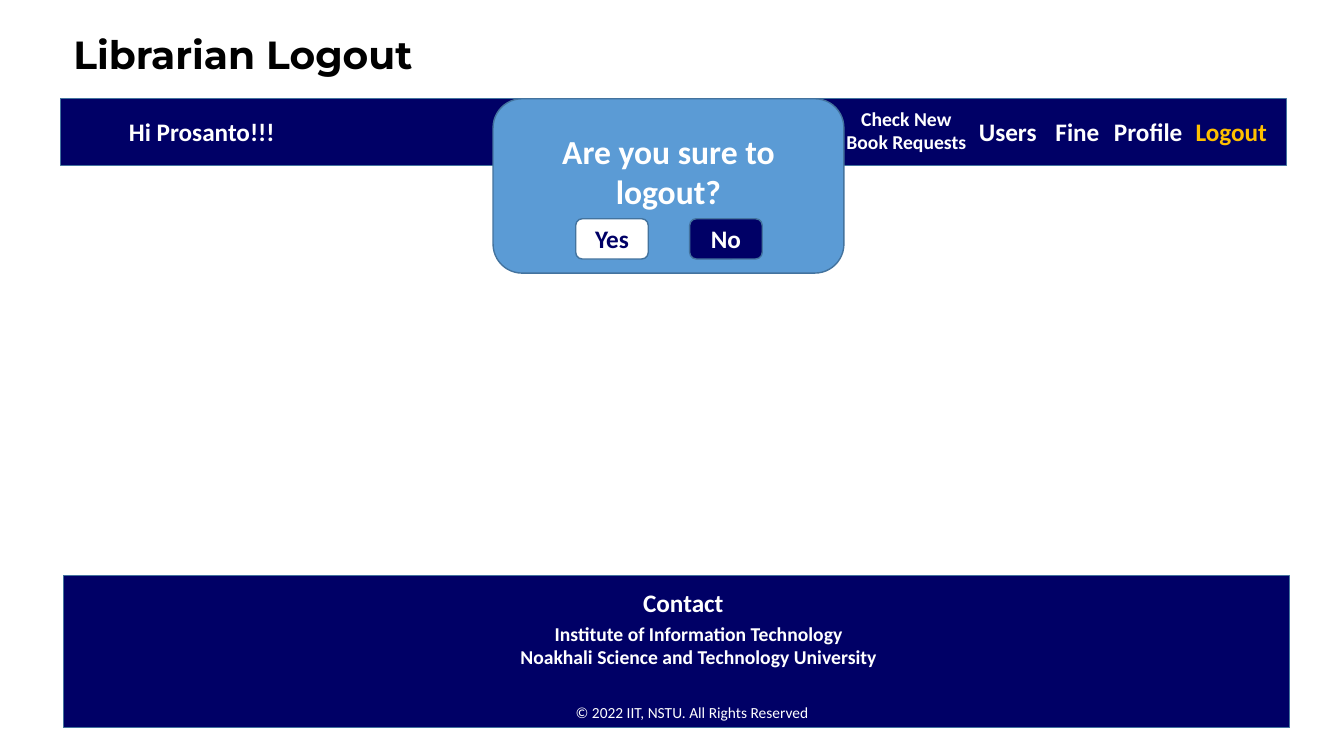
from pptx import Presentation
from pptx.dml.color import RGBColor
from pptx.enum.shapes import MSO_SHAPE
from pptx.enum.text import MSO_ANCHOR, MSO_AUTO_SIZE, PP_ALIGN
from pptx.util import Inches, Pt

RECT, ROUNDED = MSO_SHAPE.RECTANGLE, MSO_SHAPE.ROUNDED_RECTANGLE
LEFT, CENTER = PP_ALIGN.LEFT, PP_ALIGN.CENTER
TOP, MIDDLE = MSO_ANCHOR.TOP, MSO_ANCHOR.MIDDLE
FIT_TEXT = MSO_AUTO_SIZE.SHAPE_TO_FIT_TEXT

COLORS = {"navy": "000066", "blue": "5B9BD5", "edge": "43739E",
          "white": "FFFFFF", "amber": "FFC000", "black": "000000"}

# The slide is a grid of 1333 columns by 750 rows; areas are
# (column, row, columns wide, rows high).
GRID_COLUMNS, GRID_ROWS = 1333, 750
CELL = Inches(0.01)

TITLE = ("Librarian Logout", (63, 32, 474, 49))
BAR_WIDTH = 1216
HEADER = (60, 98, BAR_WIDTH, 66)
FOOTER = (63, 571, BAR_WIDTH, 151)

# Single-line labels: text, area, colour
LABELS = [
    ("Hi Prosanto!!!", (118, 111, 172, 40), "white"),
    ("Users", (961, 111, 78, 40), "white"),
    ("Fine", (1037, 111, 64, 40), "white"),
    ("Profile", (1095, 110, 89, 40), "white"),
    ("Logout", (1176, 110, 92, 40), "amber"),
    ("Contact", (628, 578, 101, 40), "white"),
]

# Centred, wrapped notes: lines, area, format
NOTES = [
    (["Check New Book Requests"], (826, 101, 146, 57), {"size": Pt(14), "bold": True}),
    (["Institute of Information Technology",
      "Noakhali Science and Technology University"],
     (459, 612, 468, 57), {"size": Pt(14), "bold": True}),
    (["© 2022 IIT, NSTU. All Rights Reserved"],
     (558, 693, 257, 29), {"size": Pt(11), "bold": False}),
]

QUESTION = ("Are you sure to logout?", (489, 98, 348, 173))
ANSWERS = [("Yes", "white", "navy"), ("No", "navy", "white")]
ANSWER_AREA = (571, 217, 72, 40)
ANSWER_STEP = 113
ROOM_FOR_ANSWERS = 35


def rgb(color):
    return RGBColor.from_string(COLORS[color])


def cells(area):
    return [CELL * count for count in area]


def write(shape, lines, color="white", align=CENTER, font=None, frame=None):
    """Fill a shape with paragraphs; font and frame override the usual format."""
    text_frame = shape.text_frame
    frame_format = {"word_wrap": True, "vertical_anchor": TOP, **(frame or {})}
    for key, value in frame_format.items():
        setattr(text_frame, key, value)
    text_frame.text = "\n".join(lines)
    font_format = {"name": "Calibri", "size": Pt(18), "bold": True, **(font or {})}
    for paragraph in text_frame.paragraphs:
        paragraph.alignment = align
        for run in paragraph.runs:
            run.font.color.rgb = rgb(color)
            for key, value in font_format.items():
                setattr(run.font, key, value)


def add_panel(slide, kind, area, fill):
    panel = slide.shapes.add_shape(kind, *cells(area))
    panel.shadow.inherit = False
    panel.fill.solid()
    panel.fill.fore_color.rgb = rgb(fill)
    panel.line.color.rgb = rgb("edge")
    panel.line.width = Pt(1)
    return panel


def add_title(slide):
    text, area = TITLE
    title = slide.shapes.add_textbox(*cells(area))
    write(title, [text], "black", LEFT, {"name": "Montserrat", "size": Pt(28)},
          {"vertical_anchor": MIDDLE})
    title.text_frame.paragraphs[0].line_spacing = 0.9


def add_page(slide):
    for bar in (HEADER, FOOTER):
        add_panel(slide, RECT, bar, "navy")
    for text, area, color in LABELS:
        write(slide.shapes.add_textbox(*cells(area)), [text], color, LEFT,
              frame={"word_wrap": False, "auto_size": FIT_TEXT})
    for lines, area, font in NOTES:
        write(slide.shapes.add_textbox(*cells(area)), lines, font=font,
              frame={"auto_size": FIT_TEXT})


def add_dialog(slide):
    text, area = QUESTION
    write(add_panel(slide, ROUNDED, area, "blue"), [text], font={"size": Pt(24)},
          frame={"vertical_anchor": MIDDLE, "margin_bottom": CELL * ROOM_FOR_ANSWERS})
    column, *rest = ANSWER_AREA
    for index, (answer, fill, color) in enumerate(ANSWERS):
        button = add_panel(slide, ROUNDED, (column + index * ANSWER_STEP, *rest), fill)
        write(button, [answer], color, frame={"vertical_anchor": MIDDLE})


def main():
    deck = Presentation()
    deck.slide_width, deck.slide_height = cells((GRID_COLUMNS, GRID_ROWS))
    slide = deck.slides.add_slide(deck.slide_layouts[6])
    add_title(slide)
    add_page(slide)
    add_dialog(slide)
    deck.save("out.pptx")


if __name__ == "__main__":
    main()
